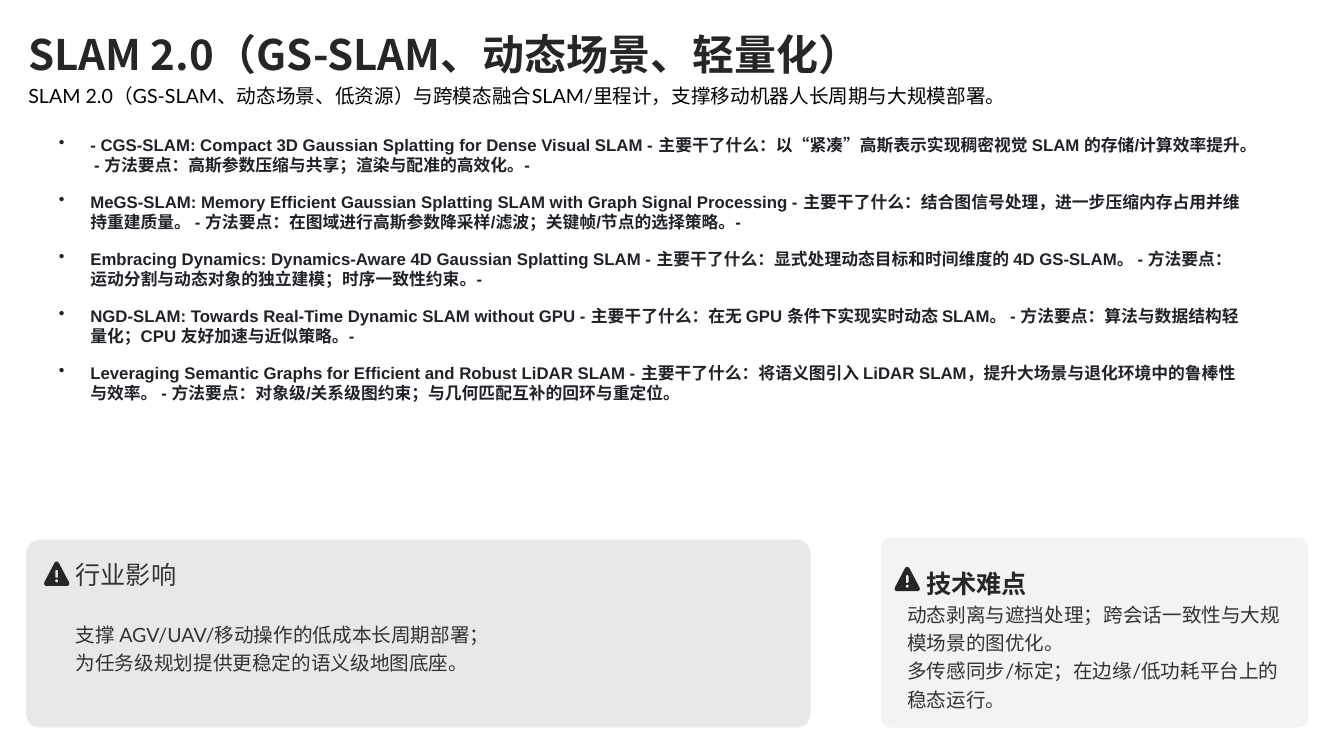
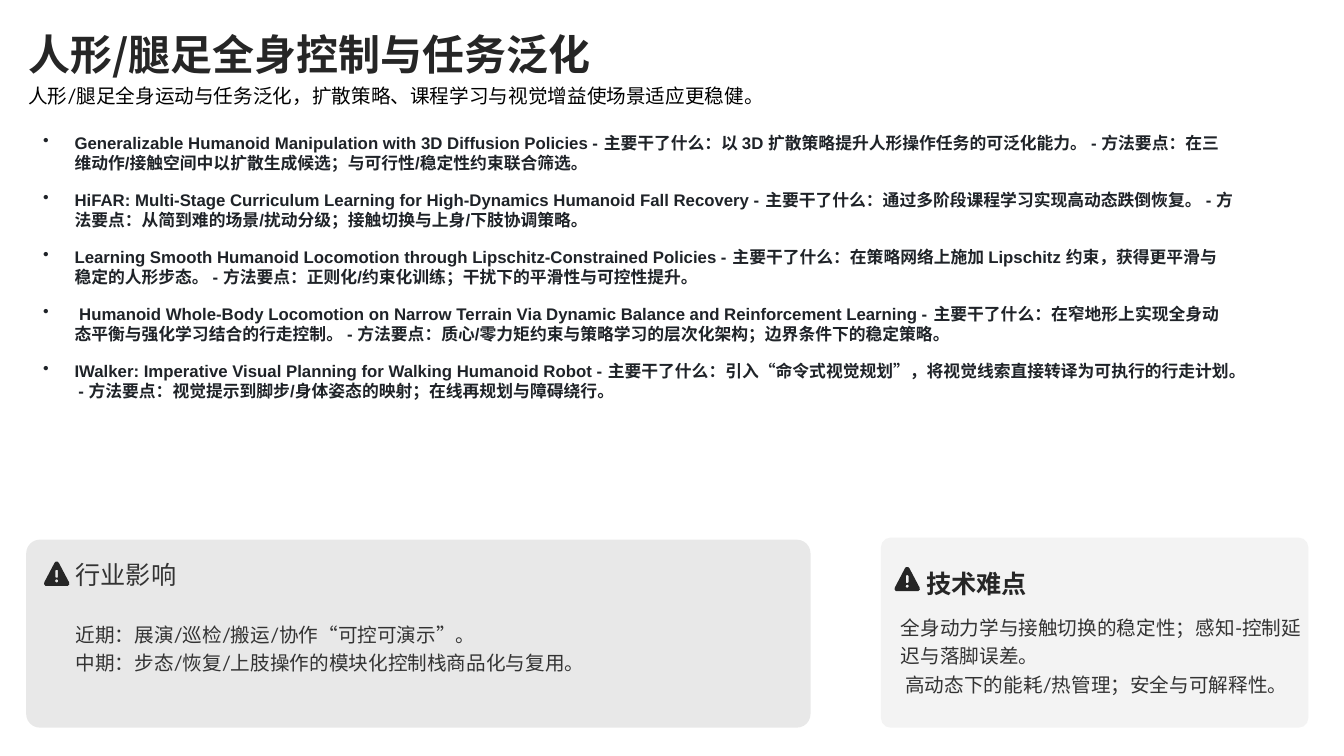
import math

import pptx
import pptx.dml.color
import pptx.enum.shapes
import pptx.enum.text
import pptx.oxml
import pptx.oxml.ns
import pptx.util

PX = 9525  # EMU per px, 96 px to the inch
ICON_UNIT = PX / 4

RGB = pptx.dml.color.RGBColor
INK = RGB(0x26, 0x26, 0x26)
BLACK = RGB(0x00, 0x00, 0x00)
BODY = RGB(0x33, 0x33, 0x33)
PAPER_INK = RGB(0x1F, 0x23, 0x28)
GREY = RGB(0x8C, 0x8C, 0x8C)

CJK_FONT = "Noto Sans CJK SC"
TEXT_FONT = "Lato"
PAPER_FONT = "Arial"
EM_SPACE = " "

TITLE_BOX = (27, 27, 1226, 48)
SUBTITLE_BOX = (27, 75, 1226, 27)
IMPACT_CARD = (25, 514, 747, 179)
IMPACT_HEADING = (72, 526, 343, 37)
IMPACT_BODY = (72, 526, 680, 179)
CHALLENGE_CARD = (839, 512, 407, 181)
CHALLENGE_HEADING = (882, 533, 343, 37)
BULLET_INDENT = 30

SLIDES = [
    {
        "title": "SLAM 2.0（GS-SLAM、动态场景、轻量化）",
        "subtitle": "SLAM 2.0（GS-SLAM、动态场景、低资源）与跨模态融合SLAM/里程计，支撑移动机器人长周期与大规模部署。",
        "papers_box": (56, 128, 1133, 258),
        # Each paper: title, what it does, key points of the method
        "papers": [
            ("- CGS-SLAM: Compact 3D Gaussian Splatting for Dense Visual SLAM",
             "以“紧凑”高斯表示实现稠密视觉 SLAM 的存储/计算效率提升。",
             "高斯参数压缩与共享；渲染与配准的高效化。-"),
            ("MeGS-SLAM: Memory Efficient Gaussian Splatting SLAM with Graph Signal Processing",
             "结合图信号处理，进一步压缩内存占用并维持重建质量。",
             "在图域进行高斯参数降采样/滤波；关键帧/节点的选择策略。-"),
            ("Embracing Dynamics: Dynamics-Aware 4D Gaussian Splatting SLAM",
             "显式处理动态目标和时间维度的 4D GS-SLAM。",
             "运动分割与动态对象的独立建模；时序一致性约束。-"),
            ("NGD-SLAM: Towards Real-Time Dynamic SLAM without GPU",
             "在无 GPU 条件下实现实时动态 SLAM。",
             "算法与数据结构轻量化；CPU 友好加速与近似策略。-"),
            ("Leveraging Semantic Graphs for Efficient and Robust LiDAR SLAM",
             "将语义图引入 LiDAR SLAM，提升大场景与退化环境中的鲁棒性与效率。",
             "对象级/关系级图约束；与几何匹配互补的回环与重定位。"),
        ],
        "impact": ["支撑 AGV/UAV/移动操作的低成本长周期部署；",
                   "为任务级规划提供更稳定的语义级地图底座。"],
        "challenge_box": (864, 559, 361, 129),
        "challenge": ["动态剥离与遮挡处理；跨会话一致性与大规模场景的图优化。",
                      "多传感同步/标定；在边缘/低功耗平台上的稳态运行。"],
    },
    {
        "title": "人形/腿足全身控制与任务泛化",
        "subtitle": "人形/腿足全身运动与任务泛化，扩散策略、课程学习与视觉增益使场景适应更稳健。",
        "papers_box": (41, 126, 1134, 258),
        "papers": [
            ("Generalizable Humanoid Manipulation with 3D Diffusion Policies",
             "以 3D 扩散策略提升人形操作任务的可泛化能力。",
             "在三维动作/接触空间中以扩散生成候选；与可行性/稳定性约束联合筛选。"),
            ("HiFAR: Multi-Stage Curriculum Learning for High-Dynamics Humanoid Fall Recovery",
             "通过多阶段课程学习实现高动态跌倒恢复。",
             "从简到难的场景/扰动分级；接触切换与上身/下肢协调策略。"),
            ("Learning Smooth Humanoid Locomotion through Lipschitz-Constrained Policies",
             "在策略网络上施加 Lipschitz 约束，获得更平滑与稳定的人形步态。",
             "正则化/约束化训练；干扰下的平滑性与可控性提升。"),
            (" Humanoid Whole-Body Locomotion on Narrow Terrain Via Dynamic Balance and Reinforcement Learning",
             "在窄地形上实现全身动态平衡与强化学习结合的行走控制。",
             "质心/零力矩约束与策略学习的层次化架构；边界条件下的稳定策略。"),
            ("IWalker: Imperative Visual Planning for Walking Humanoid Robot",
             "引入“命令式视觉规划”，将视觉线索直接转译为可执行的行走计划。",
             "视觉提示到脚步/身体姿态的映射；在线再规划与障碍绕行。"),
        ],
        "impact": ["近期：展演/巡检/搬运/协作“可控可演示”。",
                   "中期：步态/恢复/上肢操作的模块化控制栈商品化与复用。"],
        "challenge_box": (858, 558, 390, 129),
        "challenge": ["全身动力学与接触切换的稳定性；感知-控制延迟与落脚误差。",
                      " 高动态下的能耗/热管理；安全与可解释性。"],
    },
]


def emu(box):
    return [length * PX for length in box]


def add_bullet(paragraph):
    properties = paragraph._p.get_or_add_pPr()
    properties.set("marL", str(BULLET_INDENT * PX))
    properties.set("indent", str(-BULLET_INDENT * PX))
    bullet = pptx.oxml.parse_xml(
        f'<a:buChar {pptx.oxml.ns.nsdecls("a")} char="•"/>')
    properties.append(bullet)


def set_font(paragraph, name, size, color, bold):
    font = paragraph.font
    font.name, font.size, font.bold = name, pptx.util.Pt(size), bold
    font.color.rgb = color
    east_asian = pptx.oxml.parse_xml(
        f'<a:ea {pptx.oxml.ns.nsdecls("a")} typeface="{CJK_FONT}"/>')
    defaults = paragraph._p.pPr.find(pptx.oxml.ns.qn("a:defRPr"))
    defaults.append(east_asian)


def fill_text(shape, lines, size, color, name=TEXT_FONT, bold=False,
              spacing=1.2, middle=True, bullets=False):
    frame = shape.text_frame
    frame.word_wrap = True
    frame.auto_size = pptx.enum.text.MSO_AUTO_SIZE.NONE
    frame.margin_left = frame.margin_right = 0
    frame.margin_top = frame.margin_bottom = 0
    anchors = pptx.enum.text.MSO_ANCHOR
    frame.vertical_anchor = anchors.MIDDLE if middle else anchors.TOP
    for index, line in enumerate(lines):
        paragraph = frame.add_paragraph() if index else frame.paragraphs[0]
        paragraph.text = line
        paragraph.alignment = pptx.enum.text.PP_ALIGN.LEFT
        paragraph.line_spacing = spacing
        if bullets:
            paragraph.space_after = pptx.util.Pt(12)
            add_bullet(paragraph)
        set_font(paragraph, name, size, color, bold)


def add_text(slide, box, lines, size, color, **style):
    shape = slide.shapes.add_textbox(*emu(box))
    fill_text(shape, lines, size, color, **style)


def add_title(slide, text):
    title = slide.shapes.title
    title.left, title.top, title.width, title.height = emu(TITLE_BOX)
    fill_text(title, [text], 30, INK, name=CJK_FONT, bold=True, spacing=1.0)


def paint(shape, color):
    shape.shadow.inherit = False
    shape.fill.solid()
    shape.fill.fore_color.rgb = color
    shape.line.fill.background()


def add_card(slide, box, radius, color):
    card = slide.shapes.add_shape(
        pptx.enum.shapes.MSO_SHAPE.ROUNDED_RECTANGLE, *emu(box))
    card.adjustments[0] = radius / box[3]
    paint(card, color)
    # Ten per cent opacity
    color_element = card._element.spPr.find(
        ".//" + pptx.oxml.ns.qn("a:srgbClr"))
    color_element.append(pptx.oxml.parse_xml(
        f'<a:alpha {pptx.oxml.ns.nsdecls("a")} val="10000"/>'))


def add_warning_icon(slide, left, top):
    # Contours in quarter px: triangle, then the bar and dot cut out of it
    triangle = [(44, 0), (52, 0), (56, 4), (95, 78), (96, 86), (90, 92),
                (6, 92), (0, 86), (1, 78), (40, 4)]
    bar = [(45, 31), (51, 31), (53, 34), (53, 58), (51, 61), (45, 61),
           (43, 58), (43, 34)]
    angles = [math.tau * step / 12 for step in range(12)]
    dot = [(48 + 6 * math.cos(angle), 73 + 6 * math.sin(angle))
           for angle in angles]
    builder = slide.shapes.build_freeform(*triangle[0], scale=ICON_UNIT)
    builder.add_line_segments(triangle[1:], close=True)
    for hole in (bar, dot):
        builder.move_to(*hole[0])
        builder.add_line_segments(hole[1:], close=True)
    paint(builder.convert_to_shape(left * PX, top * PX), INK)


def add_papers(slide, box, papers):
    lines = [EM_SPACE.join((name, f"- 主要干了什么：{work}", f"- 方法要点：{method}"))
             for name, work, method in papers]
    add_text(slide, box, lines, 12, PAPER_INK, name=PAPER_FONT, bold=True,
             spacing=1.0, middle=False, bullets=True)


def build_slide(presentation, content):
    slide = presentation.slides.add_slide(presentation.slide_layouts[5])
    add_title(slide, content["title"])
    add_text(slide, SUBTITLE_BOX, [content["subtitle"]], 14, BLACK)
    add_papers(slide, content["papers_box"], content["papers"])

    # Industry impact
    add_card(slide, IMPACT_CARD, 13, INK)
    add_warning_icon(slide, 42, 535)
    add_text(slide, IMPACT_HEADING, ["行业影响"], 18, BODY)
    add_text(slide, IMPACT_BODY, content["impact"], 14, BODY)

    # Technical challenges
    add_card(slide, CHALLENGE_CARD, 9, GREY)
    add_warning_icon(slide, 852, 540)
    add_text(slide, CHALLENGE_HEADING, ["技术难点"], 18, INK, bold=True,
             spacing=1.3)
    add_text(slide, content["challenge_box"], content["challenge"], 14, BODY)


def main():
    presentation = pptx.Presentation()
    presentation.slide_width = 1280 * PX
    presentation.slide_height = 720 * PX
    for content in SLIDES:
        build_slide(presentation, content)
    presentation.save("out.pptx")


if __name__ == "__main__":
    main()
